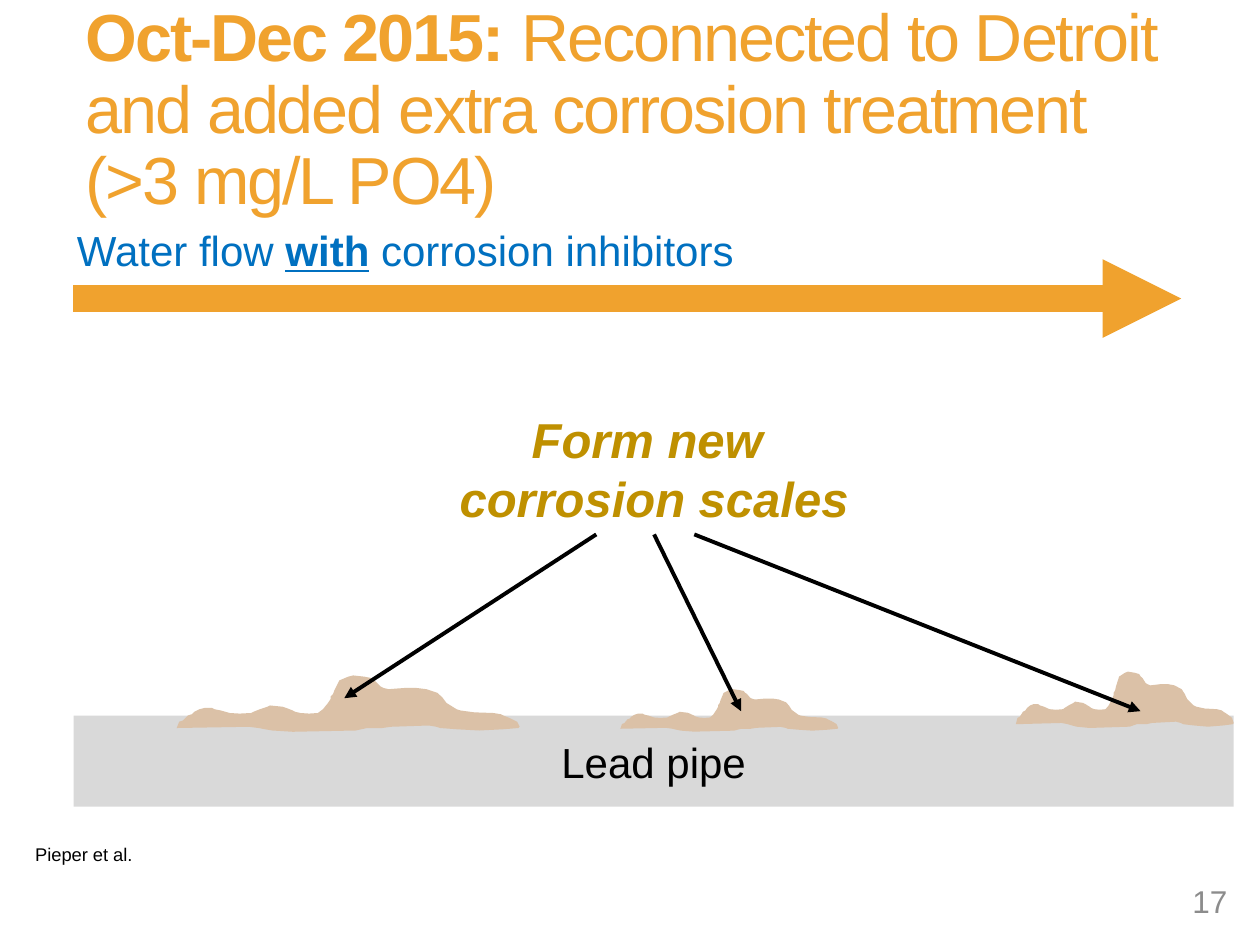
import pptx
import pptx.util
import pptx.dml.color
import pptx.enum.shapes
import pptx.enum.text
import pptx.oxml.ns
import lxml.etree

Pt = pptx.util.Pt
ALIGN = pptx.enum.text.PP_ALIGN
ANCHOR = pptx.enum.text.MSO_ANCHOR
FIT = pptx.enum.text.MSO_AUTO_SIZE

COLORS = {
    "orange": "F0A22E",
    "water": "0070C0",
    "caption": "BF9000",
    "scale": "DBC1A7",
    "pipe": "D9D9D9",
    "number": "8C8C8C",
    "black": "000000",
}

SCALE_SIZE = (272, 45)
SCALE_OUTLINE = [
    (0, 42), (2, 37), (5, 36), (9, 32), (12, 31), (14, 29), (18, 27), (22, 26),
    (28, 26), (30, 27), (35, 28), (42, 30), (50, 30.5), (59, 30), (61, 29), (66, 27),
    (72, 25), (74, 24), (84, 25), (87, 26), (92, 28), (94, 29), (98, 30), (105, 30.5),
    (112, 30), (116, 27), (120, 22), (122, 19), (122, 17), (124, 15), (125, 12),
    (127, 8), (129, 4), (136, 1), (140, 0), (149, 1), (154, 2), (156, 4), (158, 5),
    (162, 9), (164, 10), (168, 11), (181, 10), (190, 10), (198, 11), (204, 13),
    (207, 14), (211, 18), (214, 22), (222, 27), (225, 28), (236, 29.5), (251, 30),
    (257, 31), (259, 32), (264, 34), (268, 36), (270, 37), (271, 39), (272, 41),
    (271, 42), (259, 43), (240, 44), (222, 43), (209, 42), (206, 41), (200, 40),
    (170, 41), (163, 42), (151, 42), (142, 44), (92, 45), (76, 44), (70, 43),
    (65, 42), (57, 41),
]


def rgb(name):
    return pptx.dml.color.RGBColor.from_string(COLORS[name])


def add_run(paragraph, text, size, color, bold=False, italic=False, underline=False):
    run = paragraph.add_run()
    run.text = text
    font = run.font
    font.name = "Arial"
    font.size = Pt(size)
    font.bold = bold
    font.italic = italic
    font.underline = underline
    font.color.rgb = rgb(color)
    return run


def add_label(slide, box, anchor=ANCHOR.TOP, fit=FIT.NONE, wrap=True):
    label = slide.shapes.add_textbox(*map(Pt, box))
    frame = label.text_frame
    frame.word_wrap = wrap
    frame.auto_size = fit
    frame.vertical_anchor = anchor
    return label


def add_arrow(slide, start, end, color, width):
    arrow = slide.shapes.add_connector(
        pptx.enum.shapes.MSO_CONNECTOR.STRAIGHT, *map(Pt, start + end))
    arrow.line.color.rgb = rgb(color)
    arrow.line.width = Pt(width)
    qn = pptx.oxml.ns.qn
    lxml.etree.SubElement(arrow.line._get_or_add_ln(), qn("a:tailEnd"), type="triangle")
    lxml.etree.SubElement(arrow._element.spPr, qn("a:effectLst"))
    return arrow


def add_title(slide, box):
    title = add_label(slide, box, ANCHOR.MIDDLE)
    paragraph = title.text_frame.paragraphs[0]
    paragraph.line_spacing = 0.9
    lead = add_run(paragraph, "Oct-Dec 2015: ", 38, "orange", bold=True)
    action = add_run(
        paragraph, "Reconnected to Detroit and added extra corrosion treatment", 38, "orange")
    paragraph.add_line_break()
    dose = add_run(paragraph, "(>3 mg/L PO4)", 38, "orange")
    for run in (lead, action, dose):
        run._r.get_or_add_rPr().set("spc", "-120")


def add_water_flow(slide, box):
    left, top, width, height = box
    flow_label = add_label(slide, (left + 2, top, 387, 36), fit=FIT.SHAPE_TO_FIT_TEXT, wrap=False)
    flow_label.text_frame.margin_left = 0
    paragraph = flow_label.text_frame.paragraphs[0]
    add_run(paragraph, "Water flow ", 24, "water")
    add_run(paragraph, "with", 24, "water", bold=True, underline=True)
    add_run(paragraph, " corrosion inhibitors", 24, "water")
    flow_y = top + height
    add_arrow(slide, (left, flow_y), (left + width, flow_y), "orange", 15)


def add_scale(slide, box):
    left, top, width, height = box
    points = [(Pt(left + x * width / SCALE_SIZE[0]), Pt(top + y * height / SCALE_SIZE[1]))
              for x, y in SCALE_OUTLINE]
    builder = slide.shapes.build_freeform(*points[0])
    builder.add_line_segments(points[1:], close=True)
    scale = builder.convert_to_shape()
    scale.shadow.inherit = False
    scale.fill.solid()
    scale.fill.fore_color.rgb = rgb("scale")
    scale.line.fill.background()


def add_pipe(slide, box):
    pipe = slide.shapes.add_shape(pptx.enum.shapes.MSO_SHAPE.RECTANGLE, *map(Pt, box))
    pipe.shadow.inherit = False
    pipe.fill.solid()
    pipe.fill.fore_color.rgb = rgb("pipe")
    pipe.line.fill.background()
    pipe.text_frame.vertical_anchor = ANCHOR.MIDDLE
    paragraph = pipe.text_frame.paragraphs[0]
    paragraph.alignment = ALIGN.CENTER
    add_run(paragraph, "Lead pipe", 24, "black")

    left, top = box[:2]
    for dx, dy, width, height in ((59, -23, 196, 32.2), (312.5, -15.2, 124.5, 24.3),
                                  (538.5, -25.2, 124.5, 32.2)):
        add_scale(slide, (left + dx, top + dy, width, height))


def add_scale_caption(slide, box):
    left, top, width, height = box
    caption = add_label(slide, box, fit=FIT.SHAPE_TO_FIT_TEXT)
    frame = caption.text_frame
    for index, line in enumerate(("Form new ", "corrosion scales")):
        paragraph = frame.add_paragraph() if index else frame.paragraphs[0]
        paragraph.alignment = ALIGN.CENTER
        add_run(paragraph, line, 28, "caption", bold=True, italic=True)

    middle, bottom = left + width / 2, top + height
    center_arrow = add_arrow(
        slide, (middle, bottom), (middle + 49.7, bottom + 101), "black", 2.25)
    center_arrow.begin_connect(caption, 2)
    for start_dx, end_dx, drop in ((-33, -177, 93.6), (23, 278, 101)):
        add_arrow(slide, (middle + start_dx, bottom), (middle + end_dx, bottom + drop),
                  "black", 2.25)


def add_footer(slide, box):
    left, top, width, height = box
    credit = add_label(slide, (left, top, 680, 20), fit=FIT.SHAPE_TO_FIT_TEXT)
    add_run(credit.text_frame.paragraphs[0], "Pieper et al.", 10.5, "black")
    number = add_label(
        slide, (left + width - 200, top + height - 29, 200, 29), ANCHOR.MIDDLE)
    paragraph = number.text_frame.paragraphs[0]
    paragraph.alignment = ALIGN.RIGHT
    add_run(paragraph, "17", 18, "number")


def main():
    deck = pptx.Presentation()
    deck.slide_width, deck.slide_height = Pt(720), Pt(540)
    slide = deck.slides.add_slide(deck.slide_layouts[6])
    add_pipe(slide, (42, 409, 663, 52))
    add_title(slide, (42, 29.5, 651, 68.5))
    add_water_flow(slide, (42, 124.6, 633, 46))
    add_scale_caption(slide, (224, 230.4, 299.5, 75))
    add_footer(slide, (13, 478, 695.5, 51))
    deck.save("out.pptx")


if __name__ == "__main__":
    main()
